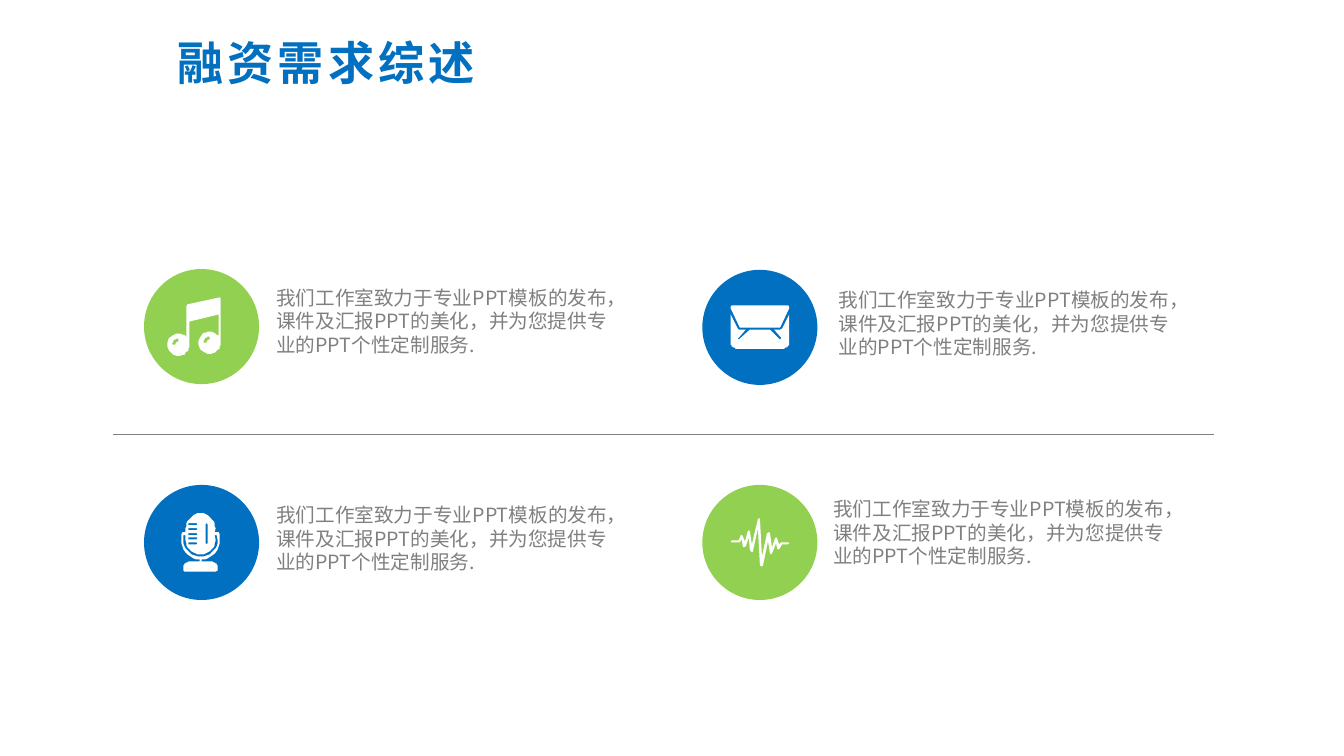
from math import cos, radians, sin

from lxml import etree
from pptx import Presentation
from pptx.dml.color import RGBColor
from pptx.enum.shapes import MSO_CONNECTOR, MSO_SHAPE
from pptx.enum.text import MSO_ANCHOR, MSO_AUTO_SIZE, PP_ALIGN
from pptx.oxml.ns import qn
from pptx.util import Cm, Pt

STRAIGHT = MSO_CONNECTOR.STRAIGHT
OVAL = MSO_SHAPE.OVAL
CENTER, LEFT = PP_ALIGN.CENTER, PP_ALIGN.LEFT
MIDDLE, TOP = MSO_ANCHOR.MIDDLE, MSO_ANCHOR.TOP
GROW = MSO_AUTO_SIZE.SHAPE_TO_FIT_TEXT

# Content
TITLE = "融资需求综述"
BODY = "我们工作室致力于专业PPT模板的发布，课件及汇报PPT的美化，并为您提供专业的PPT个性定制服务."
FONT = "Noto Sans CJK SC"
COLORS = {"blue": "0170C1", "green": "92D051", "gray": "808080", "white": "FFFFFF"}

# Circle centre and text corner in cm
ITEMS = [
    {"icon": "music", "color": "green", "center": (5.08, 8.23), "text": (6.71, 7.07)},
    {"icon": "mail", "color": "blue", "center": (19.15, 8.25), "text": (20.88, 7.14)},
    {"icon": "mic", "color": "blue", "center": (5.08, 13.67), "text": (6.71, 12.55)},
    {"icon": "pulse", "color": "green", "center": (19.15, 13.67), "text": (20.75, 12.4)},
]
DIAMETER = 2.9
TEXT_SIZE = (9.32, 2.06)
ICON_UNIT = Cm(2.54) / 100


def arc(cx, cy, rx, ry, start, end):
    """Points on an ellipse, from one angle to another, clockwise if rising."""
    steps = max(4, round(abs(end - start) / 10))
    angles = [radians(start + (end - start) * i / steps) for i in range(steps + 1)]
    return [(cx + rx * cos(a), cy + ry * sin(a)) for a in angles]


def shine(cx, cy):
    return arc(cx, cy, 6, 6, 180, 270) + arc(cx, cy, 3, 3, 270, 180)


def mic_bar(y):
    return [(-13, y), (-5, y), (-4, y + 1), (-5, y + 2), (-13, y + 2)]


# Icon outlines around the circle centre: a list of shapes, each a list of contours
MUSIC = [[
    [(18, -29), (-14, -22), (-15, -20)]
    + arc(-23, 18, 11, 11, -41, -360)
    + [(-12, -5), (17, -12)]
    + arc(8, 16, 11, 11, -38, -360)
    + [(19, -28)],
    shine(-23, 18),
    shine(8, 16),
]]
MAIL = [
    [[(20, 2), (14, 2), (21, 10), (21, 11), (20, 12), (19, 11), (10, 2), (-10, 2),
      (-20, 11), (-21, 12), (-22, 11), (-21, 10), (-14, 2), (-21, 2), (-22, 1), (-29, -13)]
     + arc(-23, 15, 6, 6, 180, 90) + arc(23, 15, 6, 6, 90, 0)
     + [(29, -13), (22, 1)]],
    [[(28, -22), (-28, -22), (-29, -21), (-29, -19), (-20, 0), (20, 0), (29, -19), (29, -21)]],
]
MIC = [[
    [(18, -2), (18, -8), (17, -10), (13, -10)]
    + arc(-1, -14, 14.5, 15, 0, -180)
    + [(-16, -10), (-19, -10), (-20, -8)]
    + arc(-1, -2, 19, 19, 180, 93)
    + [(-2, 19)] + arc(-12, 25, 6, 6, 270, 180)
    + [(-18, 28), (-17, 29), (14, 29), (16, 28)]
    + arc(10, 25, 6, 6, 0, -90) + [(0, 19)]
    + arc(-1, -2, 19, 19, 87, 0),
    [(4, -18), (5, -19), (6, -18), (6, 1), (5, 2), (4, 1)],
    arc(-1, -2, 17, 16, 180, 0) + [(15, -7), (13, -7)]
    + arc(-1, -2, 14.5, 14, 0, 180) + [(-16, -7), (-18, -7)],
] + [mic_bar(-19 + 4.75 * i) for i in range(5)]]
PULSE_TOP = [
    (-28, -2), (-21, -2), (-19, -7), (-18, -7), (-17, -6), (-15, -1), (-12, -11),
    (-11, -12), (-10, -11), (-8, 2), (-2, -23), (-1, -24), (0, -23), (2, 14), (7, -9),
    (9, -10), (10, -9), (12, 5), (15, -4), (16, -5), (17, -4), (19, 2), (21, 0), (28, 0),
]
PULSE_BOTTOM = [
    (29, 1), (28, 2), (22, 2), (19, 7), (18, 7), (17, 6), (16, 1), (12, 11), (11, 12),
    (10, 11), (8, -1), (3, 23), (2, 24), (0, 23), (-2, -14), (-7, 9), (-8, 10),
    (-10, 8), (-11, -5), (-14, 4), (-16, 5), (-17, 4), (-18, -3), (-20, 0), (-28, 0), (-29, -1),
]
ICONS = {"music": MUSIC, "mail": MAIL, "mic": MIC, "pulse": [[PULSE_TOP + PULSE_BOTTOM]]}


def rgb(name):
    return RGBColor.from_string(COLORS[name])


def write(shape, text, *, size, color, leading, bold=False, align=LEFT, anchor=TOP,
          margin=None, tracking=None):
    tf = shape.text_frame
    tf.word_wrap = True
    tf.auto_size = GROW
    tf.vertical_anchor = anchor
    if margin is not None:
        tf.margin_left = tf.margin_right = tf.margin_top = tf.margin_bottom = margin
    p = tf.paragraphs[0]
    p.alignment = align
    p.line_spacing = Pt(leading)
    r = p.add_run()
    r.text = text
    r.font.name, r.font.size, r.font.bold = FONT, Pt(size), bold
    r.font.color.rgb = rgb(color)
    rPr = r.font._element
    etree.SubElement(rPr, qn("a:ea")).set("typeface", FONT)
    if tracking:
        rPr.set("spc", str(tracking * 100))


def paint(shape, color):
    shape.fill.solid()
    shape.fill.fore_color.rgb = rgb(color)
    shape.line.fill.background()
    shape.shadow.inherit = False


def draw_icon(shapes, contours, center):
    cx, cy = (Cm(c) / ICON_UNIT for c in center)
    placed = [[(cx + x, cy + y) for x, y in contour] for contour in contours]
    builder = shapes.build_freeform(*placed[0][0], scale=ICON_UNIT)
    for i, contour in enumerate(placed):
        if i:
            builder.move_to(*contour[0])
        builder.add_line_segments(contour[1:], close=True)
    paint(builder.convert_to_shape(), "white")


def add_item(s, item):
    shapes = s.shapes.add_group_shape().shapes
    left, top = (Cm(c - DIAMETER / 2) for c in item["center"])
    paint(shapes.add_shape(OVAL, left, top, Cm(DIAMETER), Cm(DIAMETER)), item["color"])
    for contours in ICONS[item["icon"]]:
        draw_icon(shapes, contours, item["center"])
    box = shapes.add_textbox(*(Cm(v) for v in item["text"] + TEXT_SIZE))
    write(box, BODY, size=14, color="gray", leading=16.8)


def main():
    prs = Presentation()
    prs.slide_width, prs.slide_height = Cm(33.87), Cm(19.05)
    s = prs.slides.add_slide(prs.slide_layouts[5])

    # Title
    title = s.shapes.title
    title.left, title.top, title.width, title.height = Cm(3.38), Cm(0.84), Cm(9.68), Cm(1.42)
    write(title, TITLE, size=33, color="blue", leading=40, bold=True, align=CENTER,
          anchor=MIDDLE, margin=0, tracking=3)

    # Divider between the two rows
    divider = s.shapes.add_connector(STRAIGHT, Cm(2.85), Cm(10.95), Cm(30.6), Cm(10.95))
    divider.line.color.rgb = rgb("gray")
    divider.line.width = Pt(1)
    etree.SubElement(divider._element.spPr, qn("a:effectLst"))

    # Four items
    for item in ITEMS:
        add_item(s, item)

    prs.save("out.pptx")


if __name__ == "__main__":
    main()
